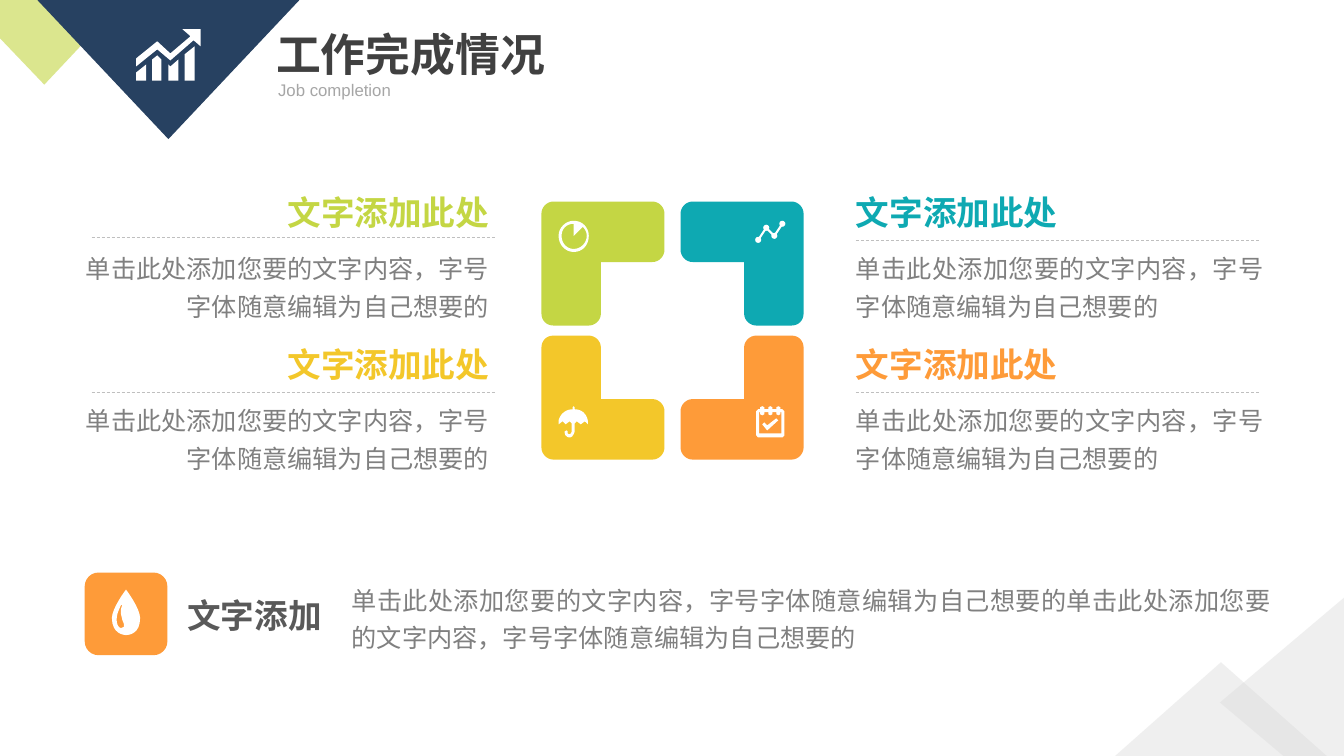
"""Build the job completion slide with four framed notes and a summary."""
from lxml import etree
from pptx import Presentation
from pptx import util as u
from pptx.dml.color import RGBColor
from pptx.enum import dml, shapes, text
from pptx.oxml.ns import qn

COLOURS = {
    "navy": "274161", "lime": "C4D644", "teal": "0EA9B2", "yellow": "F3C72A",
    "orange": "FE9B39", "white": "FFFFFF", "pale": "D9D9D9", "rule": "BFBFBF",
    "title": "404040", "subtitle": "A6A6A6", "label": "595959", "body": "808080",
}
CJK, LATIN = "Noto Sans CJK SC", "Arial"
HEADING = "文字添加此处"
BODY = "单击此处添加您要的文字内容，字号字体随意编辑为自己想要的"
LEFT, RIGHT, JUSTIFY = text.PP_ALIGN.LEFT, text.PP_ALIGN.RIGHT, text.PP_ALIGN.JUSTIFY

# Outline points are (x, y) for a line and (x1, y1, x2, y2, x, y) for a curve.
NOTES = [
    {"colour": "lime", "right": False, "lower": False, "rule": 2.35},
    {"colour": "teal", "right": True, "lower": False, "rule": 2.38},
    {"colour": "yellow", "right": False, "lower": True, "rule": 3.89},
    {"colour": "orange", "right": True, "lower": True, "rule": 3.89},
]
BRACKET = [
    (5.49, 2), (6.47, 2), (6.54, 2, 6.59, 2.06, 6.59, 2.12), (6.59, 2.48),
    (6.59, 2.54, 6.54, 2.6, 6.47, 2.6), (5.96, 2.6), (5.96, 3.11),
    (5.96, 3.18, 5.9, 3.23, 5.84, 3.23), (5.49, 3.23),
    (5.42, 3.23, 5.37, 3.18, 5.37, 3.11), (5.37, 2.12), (5.37, 2.06, 5.42, 2, 5.49, 2),
]
MIRROR_X, MIRROR_Y = 13.34, 6.56
CORNER_BAND = [(13.33, 5.93), (13.33, 7.5), (12.73, 7.5), (12.1, 6.97)]
LIME_CORNER = [(0, 0), (1.23, 0), (0.44, 0.84), (0, 0.38)]
BARS = [
    [(1.51, 0.59), (1.51, 0.8), (1.6, 0.8), (1.6, 0.59), (1.56, 0.55)],
    [(1.35, 0.8), (1.45, 0.8), (1.45, 0.64), (1.35, 0.72)],
    [(1.83, 0.54), (1.83, 0.8), (1.93, 0.8), (1.93, 0.46)],
    [(1.67, 0.64), (1.67, 0.8), (1.77, 0.8), (1.77, 0.59), (1.69, 0.66)],
]
TREND = [
    (1.99, 0.29), (1.81, 0.29), (1.89, 0.36), (1.69, 0.53), (1.56, 0.41), (1.35, 0.58),
    (1.35, 0.66), (1.56, 0.49), (1.69, 0.6), (1.92, 0.4), (1.99, 0.46),
]
CLOCK = [
    [(5.69, 2.19), (5.61, 2.19, 5.54, 2.26, 5.54, 2.34), (5.54, 2.43, 5.61, 2.5, 5.69, 2.5),
     (5.78, 2.5, 5.84, 2.43, 5.84, 2.34), (5.84, 2.26, 5.78, 2.19, 5.69, 2.19)],
    [(5.69, 2.47), (5.62, 2.47, 5.57, 2.41, 5.57, 2.34), (5.57, 2.27, 5.62, 2.22, 5.69, 2.22),
     (5.69, 2.34), (5.78, 2.25), (5.81, 2.28, 5.82, 2.31, 5.82, 2.34),
     (5.82, 2.41, 5.76, 2.47, 5.69, 2.47)],
]
UMBRELLA = [
    (5.61, 4.21), (5.65, 4.18), (5.67, 4.2), (5.67, 4.27), (5.67, 4.28, 5.67, 4.29, 5.66, 4.3),
    (5.66, 4.31, 5.64, 4.31, 5.63, 4.3), (5.63, 4.28), (5.62, 4.27), (5.6, 4.28),
    (5.6, 4.28, 5.6, 4.31, 5.61, 4.32), (5.62, 4.33, 5.63, 4.34, 5.65, 4.34),
    (5.66, 4.34, 5.68, 4.33, 5.68, 4.32), (5.7, 4.3, 5.7, 4.27, 5.7, 4.27),
    (5.7, 4.2), (5.72, 4.18), (5.76, 4.21), (5.8, 4.18), (5.83, 4.21), (5.83, 4.18),
    (5.83, 4.15, 5.8, 4.06, 5.7, 4.06), (5.7, 4.04), (5.69, 4.03), (5.68, 4.04),
    (5.68, 4.06), (5.58, 4.06, 5.54, 4.15, 5.54, 4.18), (5.54, 4.21), (5.58, 4.18),
]
GRAPH_DOTS = [(7.52, 2.38), (7.6, 2.26), (7.68, 2.34), (7.76, 2.22)]
CALENDAR_TABS = [7.56, 7.64, 7.72]
CHECK = [(7.7, 4.15), (7.61, 4.22), (7.58, 4.19), (7.56, 4.21), (7.61, 4.27), (7.72, 4.17)]
DROP = [
    [(1.25, 5.85), (1.24, 5.86, 1.11, 6.04, 1.11, 6.13), (1.11, 6.29, 1.23, 6.3, 1.25, 6.3),
     (1.28, 6.3, 1.39, 6.29, 1.39, 6.13), (1.39, 6.04, 1.26, 5.86, 1.25, 5.85)],
    [(1.21, 6.13), (1.21, 6.15, 1.22, 6.16, 1.22, 6.17), (1.23, 6.18, 1.23, 6.2, 1.23, 6.22),
     (1.22, 6.22, 1.21, 6.23, 1.2, 6.23), (1.17, 6.23, 1.15, 6.17, 1.16, 6.12),
     (1.16, 6.08, 1.2, 6.01, 1.2, 6), (1.21, 6), (1.21, 6.01),
     (1.19, 6.06, 1.2, 6.1, 1.21, 6.13)],
]


def rgb(name):
    return RGBColor.from_string(COLOURS[name])


def paint(shape, colour, opacity=100):
    shape.shadow.inherit = False
    shape.fill.solid()
    shape.fill.fore_color.rgb = rgb(colour)
    shape.line.fill.background()
    if opacity < 100:
        solid = shape.fill._xPr.find(qn("a:solidFill"))
        etree.SubElement(solid[0], qn("a:alpha"), val=str(opacity * 1000))


def preset(page, kind, frame, colour, opacity=100):
    shape = page.shapes.add_shape(kind, *map(u.Inches, frame))
    paint(shape, colour, opacity)
    return shape


def flatten(contour, steps=8):
    points = []
    for point in contour:
        if len(point) == 2:
            points.append(point)
            continue
        knots = [points[-1], point[:2], point[2:4], point[4:]]
        for step in range(1, steps + 1):
            t = step / steps
            weights = ((1 - t) ** 3, 3 * t * (1 - t) ** 2, 3 * t * t * (1 - t), t ** 3)
            points.append(tuple(sum(w * k[axis] for w, k in zip(weights, knots))
                                for axis in (0, 1)))
    return [(u.Inches(x), u.Inches(y)) for x, y in points]


def outline(page, contours, colour, opacity=100):
    flat = [flatten(contour) for contour in contours]
    builder = page.shapes.build_freeform(*flat[0][0])
    for index, points in enumerate(flat):
        if index:
            builder.move_to(*points[0])
        builder.add_line_segments(points[1:], close=True)
    paint(builder.convert_to_shape(), colour, opacity)


def stroke(page, start, end, colour, width, dash=None):
    line = page.shapes.add_connector(
        shapes.MSO_CONNECTOR.STRAIGHT, *map(u.Inches, (*start, *end)))
    line.line.color.rgb = rgb(colour)
    line.line.width = u.Pt(width)
    if dash:
        line.line.dash_style = dash
    etree.SubElement(line._element.spPr, qn("a:effectLst"))


def write(page, words, frame, size, colour, bold=False, align=LEFT, wrap=True,
          spacing=None, font=CJK):
    box = page.shapes.add_textbox(*map(u.Inches, frame)).text_frame
    box.word_wrap = wrap
    box.auto_size = text.MSO_AUTO_SIZE.SHAPE_TO_FIT_TEXT
    para = box.paragraphs[0]
    para.alignment = align
    if spacing:
        para.line_spacing = spacing
    span = para.add_run()
    span.text = words
    span.font.size, span.font.bold = u.Pt(size), bold
    span.font.color.rgb = rgb(colour)
    span.font.name = font
    etree.SubElement(span._r.get_or_add_rPr(), qn("a:ea"), typeface=font)


def mirror(contour, right, lower):
    flips = ((MIRROR_X, right), (MIRROR_Y, lower))
    return [tuple(flips[i % 2][0] - value if flips[i % 2][1] else value
                  for i, value in enumerate(point)) for point in contour]


def add_note(page, colour, right, lower, rule):
    top = 3.36 if lower else 1.85
    align = LEFT if right else RIGHT
    write(page, HEADING, (8.39 if right else 2.73, top, 2.22, 0.5), 24, colour, True,
          align, wrap=False)
    write(page, BODY, (8.39 if right else 0.71, top + 0.54, 4.24, 0.86), 18, "body",
          align=JUSTIFY if right else RIGHT, spacing=1.25)
    start = 8.49 if right else 0.91
    stroke(page, (start, rule), (start + 4, rule), "rule", 0.5, dml.MSO_LINE.DASH)
    outline(page, [mirror(BRACKET, right, lower)], colour)


def add_icons(page):
    outline(page, CLOCK, "white")
    outline(page, [UMBRELLA], "white")
    for start, end in zip(GRAPH_DOTS, GRAPH_DOTS[1:]):
        stroke(page, start, end, "white", 1.5)
    for x, y in GRAPH_DOTS:
        preset(page, shapes.MSO_SHAPE.OVAL, (x - 0.03, y - 0.03, 0.06, 0.06), "white")
    tab = [(-0.02, 0), (-0.02, 0.02), (0, 0.03), (0.02, 0.02), (0.02, 0)]
    cover = [(x + dx, 4.06 - dy) for x in CALENDAR_TABS for dx, dy in tab]
    sheet = [(x + dx, 4.09 + dy) for x in CALENDAR_TABS for dx, dy in tab]
    outline(page, [[(7.5, 4.08), (7.52, 4.06), *cover, (7.76, 4.06), (7.78, 4.08),
                    (7.78, 4.32), (7.76, 4.34), (7.52, 4.34), (7.5, 4.32)],
                   [(7.53, 4.09), *sheet, (7.75, 4.09), (7.75, 4.3), (7.53, 4.3)]], "white")
    outline(page, [CHECK], "white")


def main():
    deck = Presentation()
    deck.slide_width, deck.slide_height = u.Inches(13.33), u.Inches(7.5)
    page = deck.slides.add_slide(deck.slide_layouts[6])
    triangle = shapes.MSO_SHAPE.ISOSCELES_TRIANGLE
    preset(page, triangle, (11.06, 6.57, 2.1, 0.93), "pale", 40)
    outline(page, [CORNER_BAND], "pale", 40)
    outline(page, [LIME_CORNER], "lime", 60)
    preset(page, triangle, (0.37, 0, 2.6, 1.38), "navy").rotation = 180
    outline(page, BARS, "white")
    outline(page, [TREND], "white")
    for note in NOTES:
        add_note(page, **note)
    add_icons(page)
    write(page, "工作完成情况", (2.64, 0.22, 5.33, 0.64), 32, "title", True)
    write(page, "Job completion", (2.66, 0.74, 2.82, 0.3), 12, "subtitle",
          align=JUSTIFY, font=LATIN)
    write(page, "文字添加", (1.76, 5.85, 1.55, 0.5), 24, "label", True, wrap=False)
    write(page, BODY * 2, (3.39, 5.68, 9.32, 0.86), 18, "body", align=JUSTIFY, spacing=1.25)
    preset(page, shapes.MSO_SHAPE.ROUNDED_RECTANGLE, (0.84, 5.68, 0.82, 0.82), "orange")
    outline(page, DROP, "white")
    deck.save("out.pptx")


if __name__ == "__main__":
    main()
